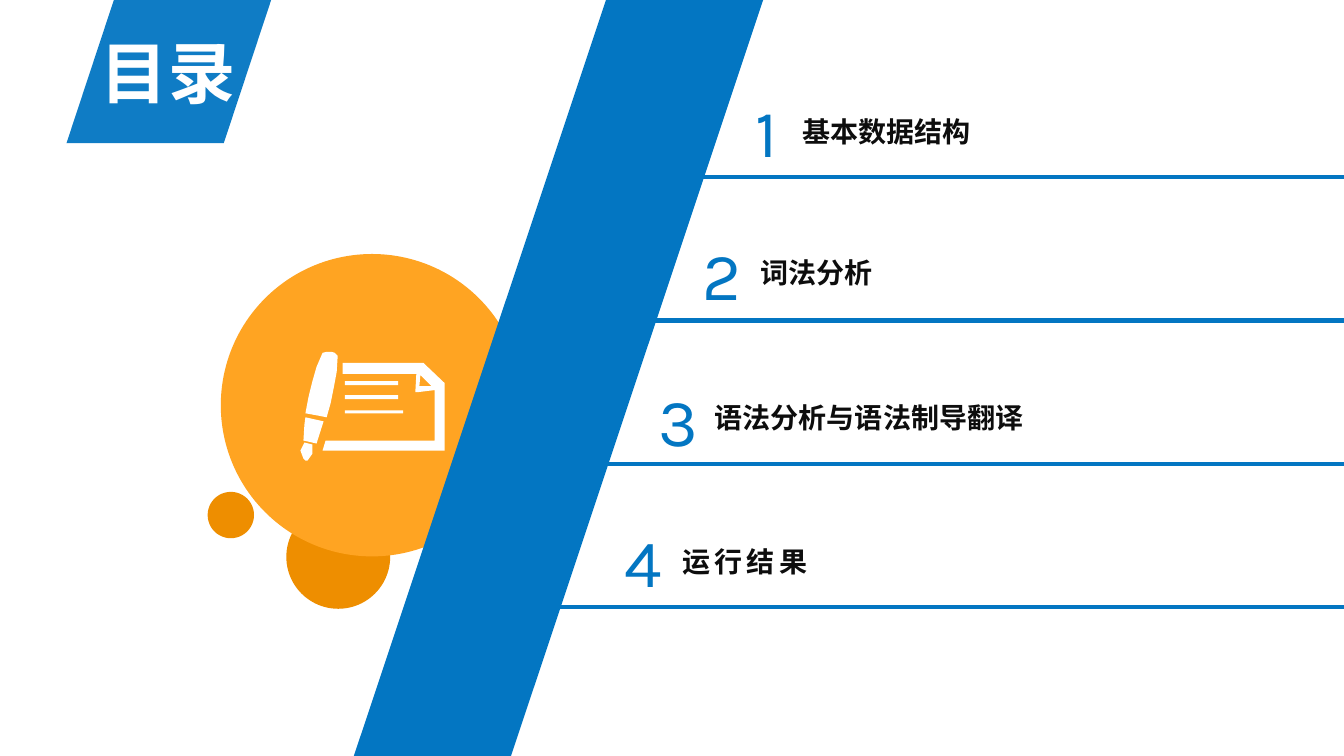
from lxml.etree import SubElement
from pptx import Presentation
from pptx.dml.color import RGBColor
from pptx.enum.shapes import MSO_CONNECTOR, MSO_SHAPE
from pptx.enum.text import MSO_ANCHOR, MSO_AUTO_SIZE, PP_ALIGN
from pptx.oxml.ns import qn
from pptx.util import Pt

PX = 9144
BLUE = "0376C2"
ORANGE = "FFA422"
DARK_ORANGE = "EE8E00"
WHITE = "FFFFFF"
INK = "0D0D0D"
NUMBER_FONT = "Karla"
LABEL_FONT = "Noto Sans CJK SC"

BANNER = [[(113, 0), (269, 0), (222, 142), (66, 142)]]
RULE_TOP, RULE_STEP = 176, 142
TOPICS = [
    ("基本数据结构", 683, (740, 85), (786, 109), 0),
    ("词法分析", 629, (687, 227), (744, 249), 0),
    ("语法分析与语法制导翻译", 583, (643, 371), (699, 392), 0),
    ("运行结果", 554, (610, 511), (667, 535), 3),
]
PEN = [
    [(320, 350), (324, 349), (329, 349), (332, 350), (335, 353), (334, 369),
     (331, 385), (328, 400), (324, 414), (314, 412), (303, 410), (306, 394),
     (310, 378), (314, 364)],
    [(303, 414), (302, 421), (301, 437), (314, 440), (321, 418), (312, 416)],
    [(302, 439), (310, 441), (310, 450), (305, 457), (303, 457), (301, 455),
     (298, 447)],
]
PAPER = [
    [(323, 437), (320, 447), (441, 447), (441, 380), (420, 360), (340, 360),
     (340, 371), (413, 371), (412, 389), (415, 389), (431, 387), (431, 437)],
    [(428, 383), (416, 383), (417, 372)],
]
WRITING = [
    [(342, top), (right, top), (right, bottom), (342, bottom)]
    for top, right, bottom in [(378, 395, 382), (392, 395, 396), (407, 400, 410)]
]


def color(value):
    return RGBColor.from_string(value)


def paint(shape, fill):
    shape.shadow.inherit = False
    shape.fill.solid()
    shape.fill.fore_color.rgb = color(fill)
    shape.line.fill.background()
    return shape


def add_preset(page, kind, left, top, width, height, fill):
    shape = page.shapes.add_shape(kind, left * PX, top * PX, width * PX, height * PX)
    return paint(shape, fill)


def add_outline(page, contours, fill):
    builder = page.shapes.build_freeform(*contours[0][0], scale=PX)
    for index, contour in enumerate(contours):
        if index:
            builder.move_to(*contour[0])
        builder.add_line_segments(contour[1:], close=True)
    return paint(builder.convert_to_shape(), fill)


def add_rule(page, left, top):
    rule = page.shapes.add_connector(
        MSO_CONNECTOR.STRAIGHT, left * PX, top * PX, 1333 * PX, top * PX)
    rule.line.color.rgb = color(BLUE)
    rule.line.width = Pt(3)
    SubElement(rule.element.spPr, qn("a:effectLst"))


def write(box, text, size, font, ink, bold=False, wrap=False, spacing=0):
    frame = box.text_frame
    frame.text = text
    frame.word_wrap = wrap
    frame.auto_size = MSO_AUTO_SIZE.SHAPE_TO_FIT_TEXT
    frame.vertical_anchor = MSO_ANCHOR.TOP
    para = frame.paragraphs[0]
    para.alignment = PP_ALIGN.LEFT
    span = para.runs[0]
    span.font.size = Pt(size)
    span.font.name = font
    span.font.bold = bold
    span.font.color.rgb = color(ink)
    properties = span.font._element
    SubElement(properties, qn("a:ea")).set("typeface", LABEL_FONT)
    if spacing:
        properties.set("spc", str(spacing * 100))


def add_text(page, left, top, width, height, text, *style, **options):
    box = page.shapes.add_textbox(left * PX, top * PX, width * PX, height * PX)
    write(box, text, *style, **options)


def add_title(page):
    banner = add_outline(page, BANNER, BLUE)
    fill = banner.element.spPr.find(qn("a:solidFill"))
    SubElement(fill[0], qn("a:alpha")).set("val", "95000")
    title = page.shapes.title
    title.left, title.top, title.width, title.height = (
        side * PX for side in (90, 26, 155, 91))
    write(title, "目录", 48, NUMBER_FONT, WHITE, bold=True)
    page.shapes.element.append(title.element)


def add_topic(page, number, label, rule_left, number_at, label_at, spacing):
    add_rule(page, rule_left, RULE_TOP + RULE_STEP * (number - 1))
    add_text(page, *number_at, 56, 91, str(number), 48, NUMBER_FONT, BLUE)
    add_text(page, *label_at, 371, 44, label, 20, LABEL_FONT, INK,
             bold=True, wrap=True, spacing=spacing)


def main():
    deck = Presentation()
    deck.slide_width, deck.slide_height = 1333 * PX, 750 * PX
    page = deck.slides.add_slide(deck.slide_layouts[5])
    add_preset(page, MSO_SHAPE.OVAL, 284, 501, 103, 103, DARK_ORANGE)
    add_preset(page, MSO_SHAPE.OVAL, 219, 252, 300, 300, ORANGE)
    add_preset(page, MSO_SHAPE.OVAL, 206, 488, 46, 46, DARK_ORANGE)
    add_outline(page, PEN + PAPER + WRITING, WHITE)
    stripe = add_preset(page, MSO_SHAPE.PARALLELOGRAM, 351, 0, 406, 750, BLUE)
    stripe.adjustments[0] = 0.616
    add_title(page)
    for number, topic in enumerate(TOPICS, 1):
        add_topic(page, number, *topic)
    deck.save("out.pptx")


if __name__ == "__main__":
    main()
